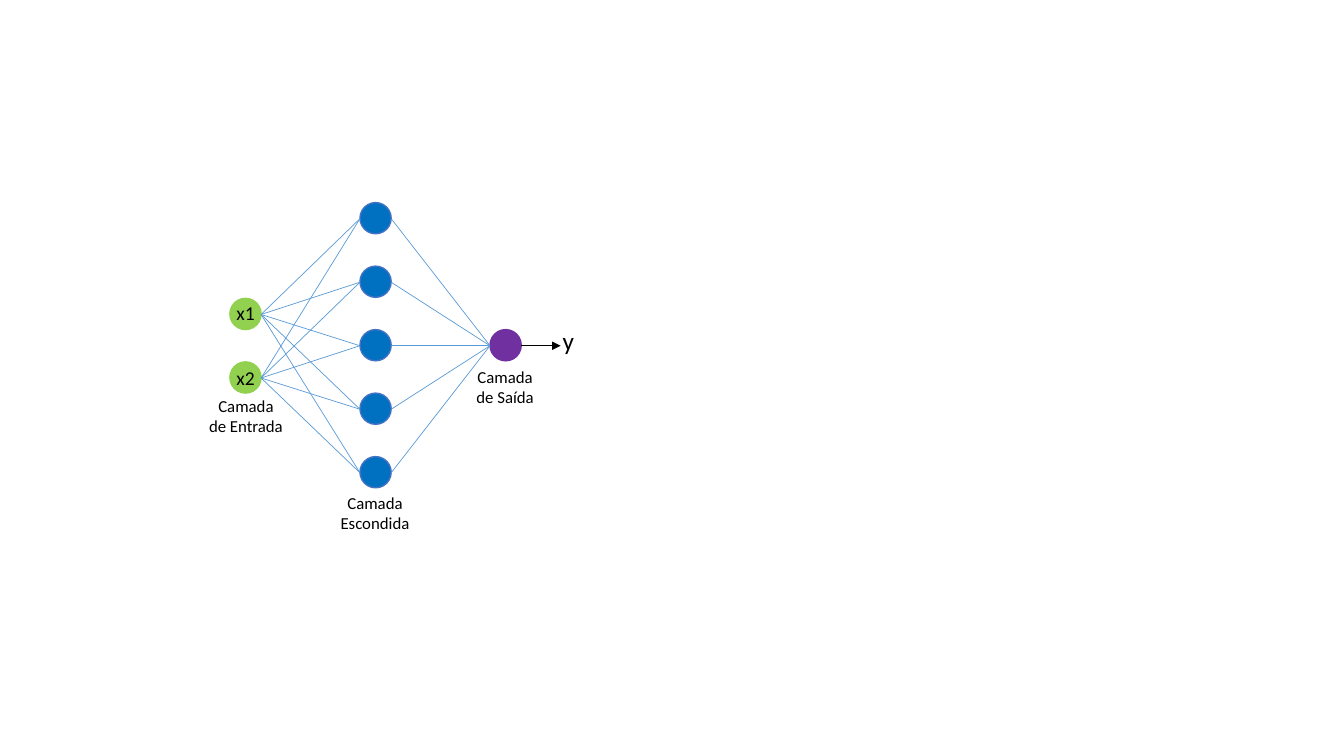
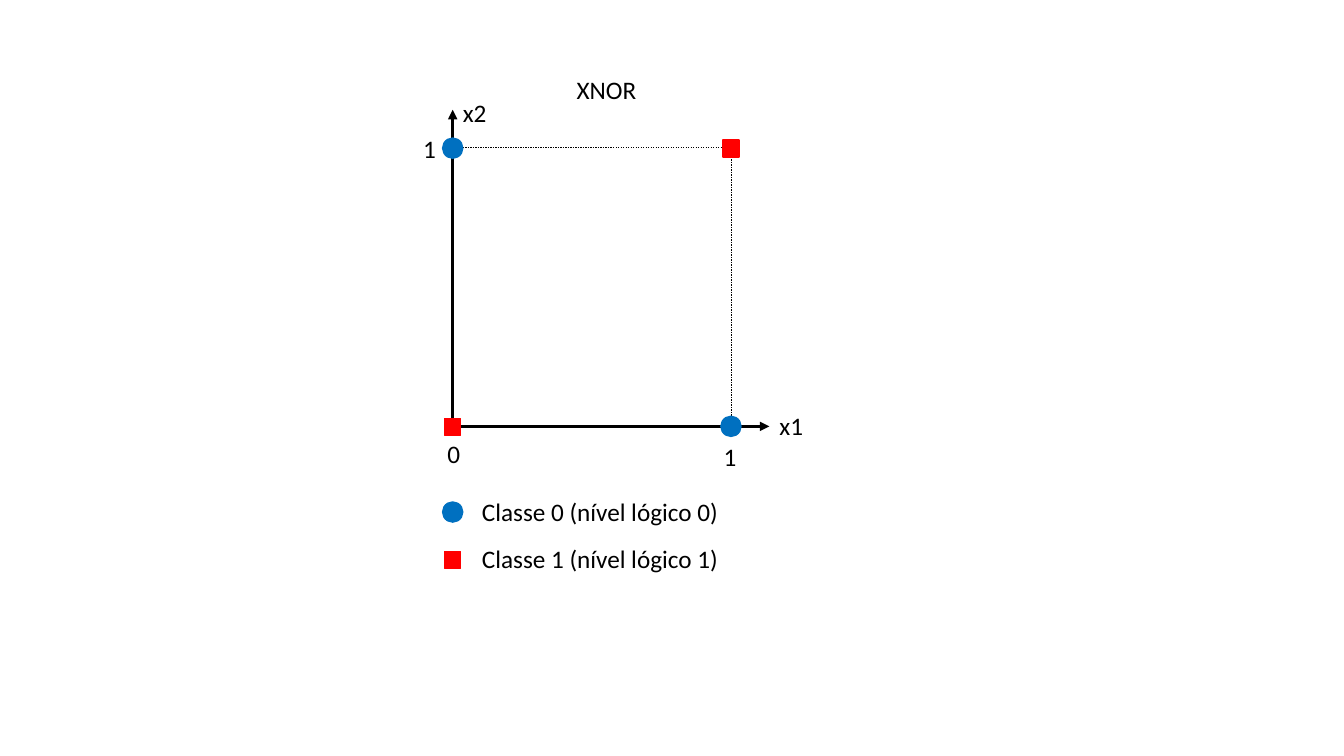
from dataclasses import dataclass
from itertools import product

from lxml.etree import SubElement
from pptx import Presentation
from pptx.dml.color import RGBColor
from pptx.enum.dml import MSO_LINE
from pptx.enum.shapes import MSO_CONNECTOR, MSO_SHAPE
from pptx.enum.text import PP_ALIGN
from pptx.oxml.ns import qn
from pptx.util import Emu, Pt

SCALE = 9144


@dataclass(frozen=True)
class Theme:
    font: str = "Calibri"
    black: str = "000000"
    green: str = "92D050"
    blue: str = "0070C0"
    edge: str = "4472C4"
    link: str = "5B9BD5"
    purple: str = "7030A0"
    red: str = "FF0000"
    small: int = 12
    medium: int = 14
    large: int = 18
    dashed: float = 0.25
    thin: float = 0.5
    outline: float = 1
    thick: float = 2.25


def px(*values):
    return [Emu(value * SCALE) for value in values]


class Deck:
    def __init__(self, theme, width, height):
        self.theme = theme
        self.prs = Presentation()
        self.prs.slide_width, self.prs.slide_height = px(width, height)
        self.slide = None

    def page(self):
        self.slide = self.prs.slides.add_slide(self.prs.slide_layouts[6])

    def stroke(self, line, color, weight):
        line.color.rgb = RGBColor.from_string(color)
        line.width = Pt(weight)

    def shape(self, kind, box, fill, edge, weight=None):
        shape = self.slide.shapes.add_shape(kind, *px(*box))
        shape.shadow.inherit = False
        if fill:
            shape.fill.solid()
            shape.fill.fore_color.rgb = RGBColor.from_string(fill)
        else:
            shape.fill.background()
        self.stroke(shape.line, edge, weight or self.theme.outline)
        return shape

    def line(self, start, end, color, weight, arrow=False):
        line = self.slide.shapes.add_connector(
            MSO_CONNECTOR.STRAIGHT, *px(*start, *end))
        self.stroke(line.line, color, weight)
        props = line._element.spPr
        if arrow:
            SubElement(props.find(qn("a:ln")), qn("a:tailEnd"), type="triangle")
        SubElement(props, qn("a:effectLst"))

    def text(self, words, box, size, align=PP_ALIGN.CENTER):
        frame = self.slide.shapes.add_textbox(*px(*box)).text_frame
        frame.word_wrap = True
        frame.margin_left = frame.margin_right = 0
        frame.text = words
        for para in frame.paragraphs:
            para.alignment = align
            para.font.name = self.theme.font
            para.font.size = Pt(size)
            para.font.color.rgb = RGBColor.from_string(self.theme.black)


def network(deck):
    theme = deck.theme
    deck.page()
    size, half, step = 31, 16, 63
    first, middle, gap = 228, 327, 129
    columns = []
    layers = ((2, theme.green, theme.green), (5, theme.blue, theme.edge),
              (1, theme.purple, theme.purple))
    for layer, (count, fill, edge) in enumerate(layers):
        left = first + gap * layer
        tops = [middle + step * row - step * (count - 1) // 2
                for row in range(count)]
        for top in tops:
            deck.shape(MSO_SHAPE.OVAL, (left, top, size, size), fill, edge)
        columns.append([(left, top + half) for top in tops])

    for near, far in zip(columns, columns[1:]):
        for (left, mid), end in product(near, far):
            deck.line((left + size, mid), end, theme.link, theme.thin)

    left, mid = columns[-1][0]
    deck.line((left + size, mid), (556, mid), theme.black, theme.thin, True)
    for name, top in (("x1", 294), ("x2", 358)):
        deck.text(name, (224, top, 39, 34), theme.medium)
    for name, left, top in (("Camada\nde Entrada", 197, 388),
                            ("Camada\nEscondida", 325, 484),
                            ("Camada\nde Saída", 454, 359)):
        deck.text(name, (left, top, 94, 50), theme.small)
    deck.text("y", (558, 318, 22, 40), theme.large, PP_ALIGN.LEFT)


def mark(deck, group, center, middle):
    kind, width, height, color = (
        (MSO_SHAPE.OVAL, 20, 20, deck.theme.blue),
        (MSO_SHAPE.RECTANGLE, 16, 17, deck.theme.red),
    )[group]
    box = center - width // 2, middle - height // 2, width, height
    deck.shape(kind, box, color, color)


def graph(deck):
    theme = deck.theme
    deck.page()
    left, base, side = 449, 423, 276
    for end in ((763, base), (left, 109)):
        deck.line((left, base), end, theme.black, theme.thick, True)
    frame = deck.shape(MSO_SHAPE.RECTANGLE, (left, base - side - 1, side, side),
                       None, theme.black, theme.dashed)
    frame.line.dash_style = MSO_LINE.DASH

    for across, up in product((0, 1), repeat=2):
        mark(deck, int(across == up), left + side * across, base - side * up)

    for name, start, top, width in (("XNOR", 440, 69, 323), ("1", 703, 433, 42),
                                    ("0", 429, 430, 42), ("1", 405, 127, 42)):
        deck.text(name, (start, top, width, 40), theme.large)
    for name, start, top in (("x1", 773, 402), ("x2", 459, 92)):
        deck.text(name, (start, top, 37, 40), theme.large, PP_ALIGN.LEFT)

    for group in (0, 1):
        top = 487 + 47 * group
        mark(deck, group, left, top + 21)
        deck.text(f"Classe {group} (nível lógico {group})",
                  (478, top, 257, 40), theme.large, PP_ALIGN.LEFT)


def main():
    deck = Deck(Theme(), 1333, 750)
    network(deck)
    graph(deck)
    deck.prs.save("out.pptx")


if __name__ == "__main__":
    main()
